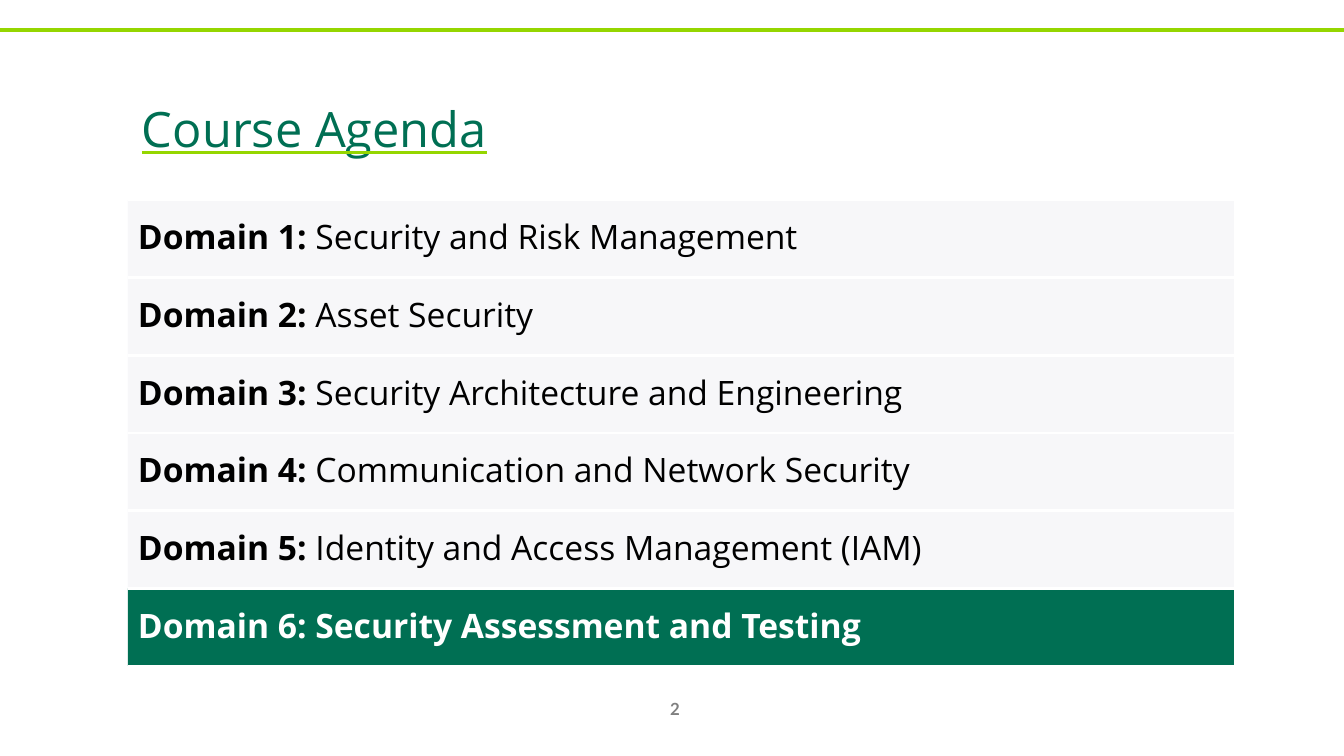
from dataclasses import dataclass

from lxml.etree import SubElement
from pptx import Presentation
from pptx.dml.color import RGBColor
from pptx.enum.shapes import MSO_CONNECTOR, MSO_SHAPE
from pptx.enum.text import MSO_ANCHOR, PP_ALIGN
from pptx.oxml.ns import qn
from pptx.util import Pt

TITLE = "Course Agenda"
DOMAINS = [
    "Security and Risk Management",
    "Asset Security",
    "Security Architecture and Engineering",
    "Communication and Network Security",
    "Identity and Access Management (IAM)",
    "Security Assessment and Testing",
]
CURRENT_DOMAIN = 6
PAGE_NUMBER = "2"

SLIDE_SIZE = (1344, 756)
TITLE_BOX = (132, 61, 956, 126)
PAGE_BOX = (644, 689, 62, 40)
AGENDA_BOX = (128, 200, 1106, 466)
TOP_RULE = 30
INSET = 10
EMU_PER_PX = 914400 / 100.8


@dataclass(frozen=True)
class Theme:
    green: str = "006F53"
    lime: str = "95D600"
    pale: str = "F7F7F9"
    white: str = "FFFFFF"
    black: str = "000000"
    grey: str = "808080"
    body_font: str = "Open Sans"
    page_font: str = "Lato"
    title_size: int = 60
    body_size: int = 24
    page_size: int = 12


THEME = Theme()


def px(value):
    return round(value * EMU_PER_PX)


def apply_format(target, values):
    for name, value in values.items():
        setattr(target, name, value)


def place(shape, box):
    apply_format(shape, dict(zip(("left", "top", "width", "height"), map(px, box))))


def format_frame(frame, inset=INSET):
    margins = ("margin_left", "margin_top", "margin_right", "margin_bottom")
    apply_format(frame, dict.fromkeys(margins, px(inset)))
    apply_format(frame, {"word_wrap": True, "vertical_anchor": MSO_ANCHOR.MIDDLE})


def add_run(paragraph, text, color, size, name=THEME.body_font, **values):
    run = paragraph.add_run()
    run.text = text
    apply_format(run.font, {"name": name, "size": Pt(size), **values})
    run.font.color.rgb = RGBColor.from_string(color)
    return run


def add_rule(slide, left, right, y, color, width):
    rule = slide.shapes.add_connector(
        MSO_CONNECTOR.STRAIGHT, px(left), px(y), px(right), px(y))
    rule.line.color.rgb = RGBColor.from_string(color)
    rule.line.width = Pt(width)
    SubElement(rule._element.spPr, qn("a:effectLst"))


def add_title(slide):
    title = slide.shapes.title
    place(title, TITLE_BOX)
    format_frame(title.text_frame)
    paragraph = title.text_frame.paragraphs[0]
    paragraph.alignment = PP_ALIGN.LEFT
    run = add_run(paragraph, TITLE, THEME.green, THEME.title_size, underline=True)
    properties = run.font._element
    properties.set("baseline", "12000")
    underline_fill = SubElement(properties, qn("a:uFill"))
    solid_fill = SubElement(underline_fill, qn("a:solidFill"))
    SubElement(solid_fill, qn("a:srgbClr"), val=THEME.lime)
    properties.find(qn("a:solidFill")).addnext(underline_fill)


def add_domain(slide, number, name, box):
    current = number == CURRENT_DOMAIN
    fill, color = (THEME.green, THEME.white) if current else (THEME.pale, THEME.black)
    row = slide.shapes.add_shape(MSO_SHAPE.RECTANGLE, *map(px, box))
    row.shadow.inherit = False
    row.fill.solid()
    row.fill.fore_color.rgb = RGBColor.from_string(fill)
    row.line.fill.background()
    format_frame(row.text_frame)
    paragraph = row.text_frame.paragraphs[0]
    apply_format(paragraph, {"alignment": PP_ALIGN.LEFT, "line_spacing": 0.9})
    add_run(paragraph, f"Domain {number}: ", color, THEME.body_size, bold=True)
    add_run(paragraph, name, color, THEME.body_size, bold=current)


def add_agenda(slide):
    left, top, width, height = AGENDA_BOX
    row_height = height / len(DOMAINS)
    for index, name in enumerate(DOMAINS):
        y = top + index * row_height
        add_domain(slide, index + 1, name, (left, y, width, row_height))
    for index in range(len(DOMAINS) + 1):
        add_rule(slide, left, left + width, top + index * row_height, THEME.white, 2)


def add_page_number(slide):
    box = slide.shapes.add_textbox(*map(px, PAGE_BOX))
    format_frame(box.text_frame)
    paragraph = box.text_frame.paragraphs[0]
    paragraph.alignment = PP_ALIGN.CENTER
    add_run(paragraph, PAGE_NUMBER, THEME.grey, THEME.page_size, THEME.page_font, bold=True)


def main():
    presentation = Presentation()
    apply_format(presentation, dict(zip(("slide_width", "slide_height"), map(px, SLIDE_SIZE))))
    slide = presentation.slides.add_slide(presentation.slide_layouts[5])
    add_rule(slide, 0, SLIDE_SIZE[0], TOP_RULE, THEME.lime, 3)
    add_title(slide)
    add_agenda(slide)
    add_page_number(slide)
    presentation.save("out.pptx")


if __name__ == "__main__":
    main()
